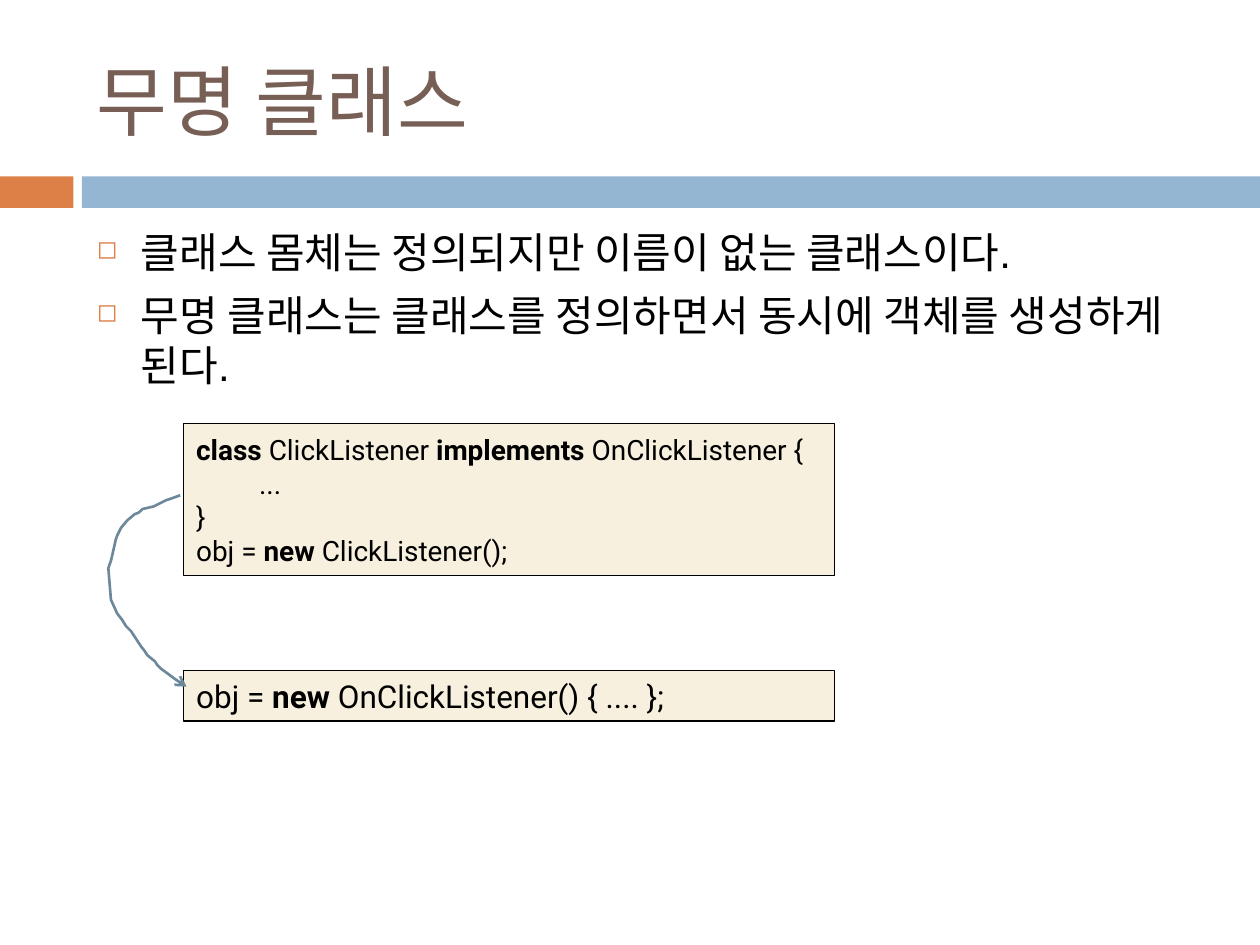
import pptx
import pptx.dml.color
import pptx.enum.shapes
import pptx.enum.text
import pptx.oxml
import pptx.oxml.ns
import pptx.util
from lxml import etree

Pt = pptx.util.Pt
BLACK = "000000"
ORANGE = "DD8047"
TITLE = "무명 클래스"
BULLETS = [
    "클래스 몸체는 정의되지만 이름이 없는 클래스이다.",
    "무명 클래스는 클래스를 정의하면서 동시에 객체를 생성하게 된다.",
]
BANDS = [(0, 42, ORANGE), (46.8, 673.2, "94B6D2")]
KEYWORDS = {"class ", "implements ", "new "}
CODE_BOXES = [
    (242, 87, 16, [
        ["class ", "ClickListener ", "implements ", "OnClickListener {"],
        ["\t..."],
        ["}"],
        ["obj = ", "new ", "ClickListener();"],
    ]),
    (383, 29, 18, [["obj = ", "new ", "OnClickListener() { .... };"]]),
]
ARROW_POINTS = [
    (103, 283), (97.2, 285.1), (95, 285.8), (87.8, 289.4), (81.4, 290.9),
    (79.2, 293), (77, 293.8), (72.7, 297.4), (69.1, 301.7), (67, 306),
    (66.2, 308.2), (64.1, 317.5), (63.4, 320.4), (61.9, 324.7),
    (63.4, 342.7), (67, 350.6), (69.8, 354.2), (72, 357.8), (74.9, 360.7),
    (80.6, 369.4), (82.8, 372.2), (84.2, 374.4), (88.6, 378), (90, 380.2),
    (92.2, 382.3), (94.3, 383.8), (100.1, 388.1), (102.2, 389.5),
    (104.4, 391), (106.6, 392.4),
]


def color(value):
    return pptx.dml.color.RGBColor.from_string(value)


def style_font(font, name, size, value):
    font.name = name
    font.size = Pt(size)
    font.color.rgb = color(value)


def add_rectangle(page, left, top, width, height, fill):
    box = page.shapes.add_shape(
        pptx.enum.shapes.MSO_SHAPE.RECTANGLE, Pt(left), Pt(top), Pt(width), Pt(height))
    box.shadow.inherit = False
    box.fill.solid()
    box.fill.fore_color.rgb = color(fill)
    box.line.fill.background()
    return box


def add_text_box(page, top, height):
    frame = page.shapes.add_textbox(Pt(48.24), Pt(top), Pt(642.24), Pt(height)).text_frame
    frame.word_wrap = True
    return frame


def add_title(page):
    frame = add_text_box(page, 18, 77.76)
    frame.vertical_anchor = pptx.enum.text.MSO_ANCHOR.MIDDLE
    frame.text = TITLE
    style_font(frame.paragraphs[0].runs[0].font, "Cabin", 44, "775F55")


def add_square_bullet(para):
    properties = para._p.get_or_add_pPr()
    properties.set("marL", str(Pt(25.2)))
    properties.set("indent", str(-Pt(25.2)))
    bullet_color = etree.SubElement(properties, pptx.oxml.ns.qn("a:buClr"))
    etree.SubElement(bullet_color, pptx.oxml.ns.qn("a:srgbClr"), val=ORANGE)
    etree.SubElement(properties, pptx.oxml.ns.qn("a:buSzPct"), val="60000")
    etree.SubElement(properties, pptx.oxml.ns.qn("a:buChar"), char="◻")


def add_bullets(page):
    frame = add_text_box(page, 126, 354.24)
    frame.text = "\n".join(BULLETS)
    for index, para in enumerate(frame.paragraphs):
        if index:
            para.space_before = Pt(7)
        add_square_bullet(para)
        style_font(para.runs[0].font, "Arial", 24, BLACK)


def add_code_box(page, top, height, size, lines):
    box = add_rectangle(page, 105, top, 372, height, "F7F0DE")
    box.line.color.rgb = color(BLACK)
    box.line.width = Pt(0.75)
    frame = box.text_frame
    frame.word_wrap = True
    frame.vertical_anchor = pptx.enum.text.MSO_ANCHOR.MIDDLE
    for index, pieces in enumerate(lines):
        para = frame.add_paragraph() if index else frame.paragraphs[0]
        para.alignment = pptx.enum.text.PP_ALIGN.LEFT
        for piece in pieces:
            span = para.add_run()
            span.text = piece
            style_font(span.font, "Roboto", size, BLACK)
            span.font.bold = piece in KEYWORDS


def add_curved_arrow(page):
    points = [(Pt(x), Pt(y)) for x, y in ARROW_POINTS]
    builder = page.shapes.build_freeform(*points[0])
    builder.add_line_segments(points[1:], close=False)
    arrow = builder.convert_to_shape()
    arrow.shadow.inherit = False
    arrow.fill.background()
    arrow.line.color.rgb = color("6D879B")
    arrow.line.width = Pt(1.5)
    line = arrow.line._get_or_add_ln()
    etree.SubElement(line, pptx.oxml.ns.qn("a:round"))
    etree.SubElement(line, pptx.oxml.ns.qn("a:tailEnd"), type="arrow")


def main():
    deck = pptx.Presentation()
    deck.slide_width, deck.slide_height = Pt(720), Pt(540)
    page = deck.slides.add_slide(deck.slide_layouts[6])
    for left, width, fill in BANDS:
        add_rectangle(page, left, 100.8, width, 18, fill)
    add_title(page)
    add_bullets(page)
    for code_box in CODE_BOXES:
        add_code_box(page, *code_box)
    add_curved_arrow(page)
    deck.save("out.pptx")


if __name__ == "__main__":
    main()
